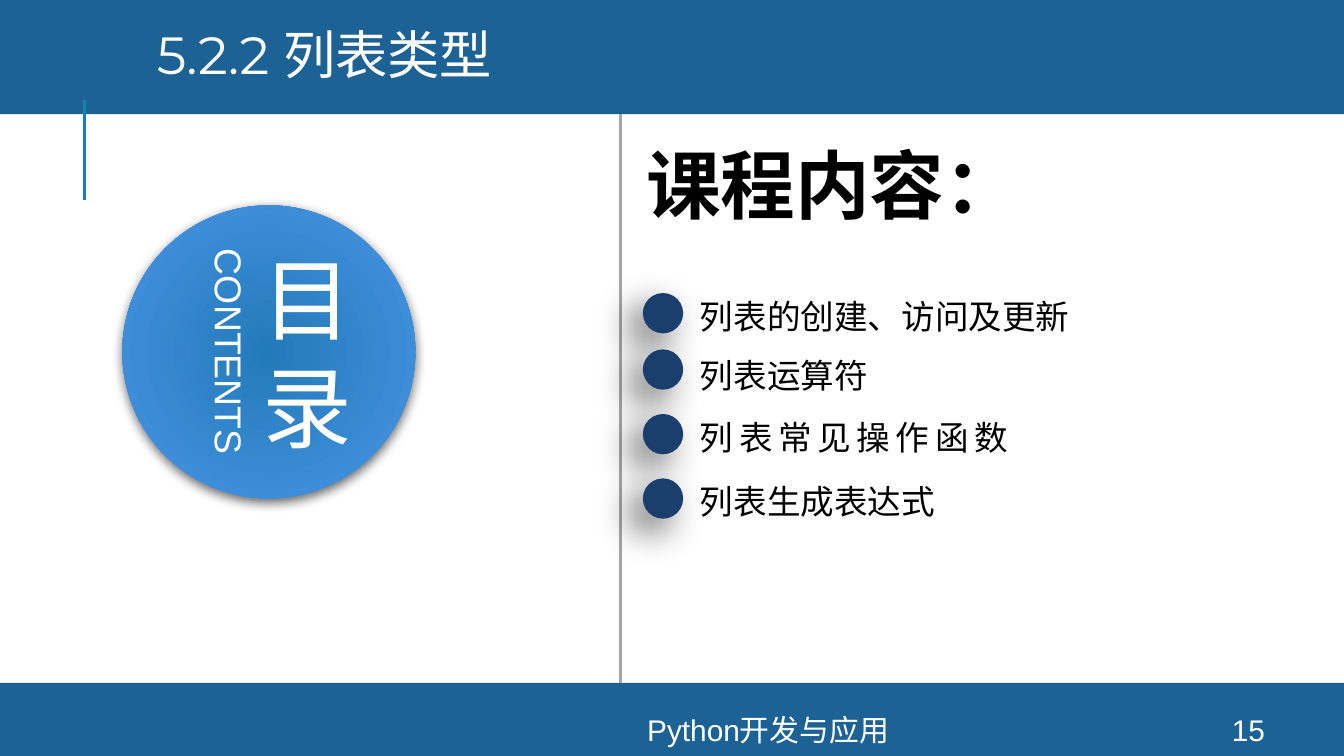
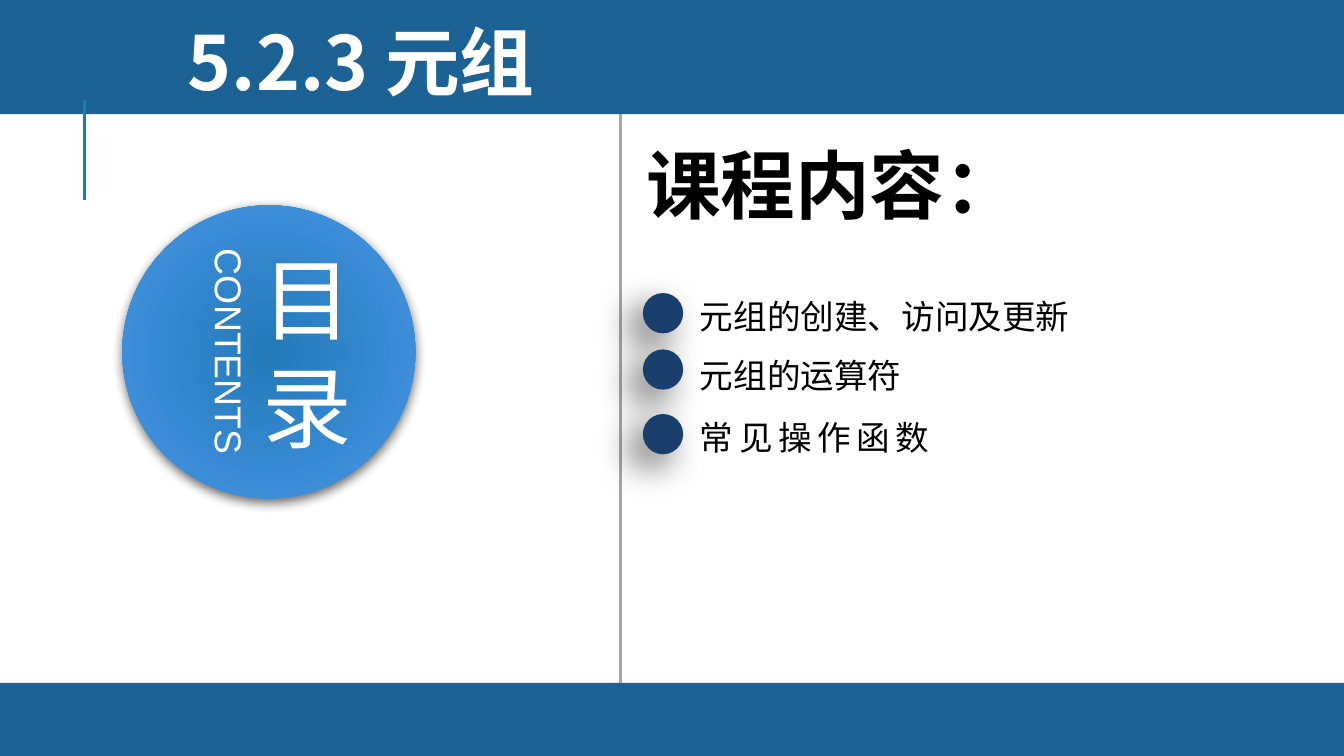
import collections

import lxml.etree
import pptx
import pptx.dml.color
import pptx.enum.shapes
import pptx.enum.text
import pptx.oxml.ns
import pptx.util

Pt = pptx.util.Pt
RGBColor = pptx.dml.color.RGBColor
Shapes = pptx.enum.shapes.MSO_SHAPE
Align = pptx.enum.text.PP_ALIGN
Anchor = pptx.enum.text.MSO_ANCHOR
AutoSize = pptx.enum.text.MSO_AUTO_SIZE
qn = pptx.oxml.ns.qn

BAND_BLUE = RGBColor(0x1D, 0x62, 0x94)
ACCENT_BLUE = RGBColor(0x14, 0x82, 0xAC)
DIVIDER_GREY = RGBColor(0xA6, 0xA6, 0xA6)
DISC_CENTRE = RGBColor(0x23, 0x7A, 0xB8)
DISC_EDGE = RGBColor(0x48, 0x95, 0xE7)
DOT_NAVY = RGBColor(0x1A, 0x3F, 0x6C)
WHITE = RGBColor(0xFF, 0xFF, 0xFF)
BLACK = RGBColor(0x00, 0x00, 0x00)

LATIN = "Arial"
DISPLAY = "Montserrat"
CHINESE = "Noto Sans CJK SC"

Box = collections.namedtuple("Box", "left top width height")
Style = collections.namedtuple("Style", "size font color bold spacing", defaults=(False, 0))
Title = collections.namedtuple("Title", "text style box")
Topic = collections.namedtuple("Topic", "label font spacing", defaults=(CHINESE, 0))

PAGE = Box(0, 0, 720, 405)
HEADER = Box(0, -2.2, 720, 63.4)
FOOTER = Box(0, 365.8, 720, 39.2)
DISC = Box(65.5, 110, 157, 157)
CONTENT = Box(332.6, 61.2, 387.4, 304.6)
TOPIC_ROWS = [(93.6, 95.8), (125.3, 126), (158.4, 160.6), (193, 195.1)]


def place(box, left, top, width, height):
    return Box(box.left + left, box.top + top, width, height)


def points(box):
    return [Pt(length) for length in box]


def add_span(para, text, style):
    span = para.add_run()
    span.text = text
    font = span.font
    font.size = Pt(style.size)
    font.name = style.font
    font.bold = style.bold
    font.color.rgb = style.color
    properties = font._element
    if style.spacing:
        properties.set("spc", str(round(style.spacing * 100)))
    east_asian = lxml.etree.Element(qn("a:ea"), typeface=CHINESE)
    properties.find(qn("a:latin")).addnext(east_asian)


def add_text(page, box, lines, style, align=Align.LEFT, anchor=Anchor.TOP, wrap=True, grow=False, inset=None):
    text_box = page.shapes.add_textbox(*points(box))
    frame = text_box.text_frame
    frame.word_wrap = wrap
    frame.vertical_anchor = anchor
    frame.auto_size = AutoSize.SHAPE_TO_FIT_TEXT if grow else AutoSize.NONE
    if inset is not None:
        frame.margin_left = frame.margin_right = Pt(inset)
        frame.margin_top = frame.margin_bottom = Pt(inset)
    for index, line in enumerate(lines):
        para = frame.add_paragraph() if index else frame.paragraphs[0]
        para.alignment = align
        add_span(para, line, style)
    return text_box


def add_label(page, box, text, style):
    return add_text(page, box, [text], style, wrap=False, grow=True)


def add_solid(page, kind, box, color):
    shape = page.shapes.add_shape(kind, *points(box))
    shape.fill.solid()
    shape.fill.fore_color.rgb = color
    shape.line.fill.background()
    shape.shadow.inherit = False
    return shape


def add_shadow(shape, blur, distance, angle):
    effects = shape._element.spPr.find(qn("a:effectLst"))
    shadow = lxml.etree.SubElement(
        effects, qn("a:outerShdw"), blurRad=str(Pt(blur)), dist=str(Pt(distance)),
        dir=str(angle * 60000), algn="ctr", rotWithShape="0")
    color = lxml.etree.SubElement(shadow, qn("a:srgbClr"), val=str(BLACK))
    lxml.etree.SubElement(color, qn("a:alpha"), val="60000")


def add_vertical(page, left, start, end, color):
    line = page.shapes.add_connector(
        pptx.enum.shapes.MSO_CONNECTOR.STRAIGHT, Pt(left), Pt(start), Pt(left), Pt(end))
    line.line.color.rgb = color
    line.line.width = Pt(1.5)
    lxml.etree.SubElement(line._element.spPr, qn("a:effectLst"))


def fill_radially(shape, centre, edge):
    shape.fill.gradient()
    for stop, color in zip(shape.fill.gradient_stops, (centre, edge)):
        stop.color.rgb = color
    gradient = shape._element.spPr.find(qn("a:gradFill"))
    gradient.remove(gradient.find(qn("a:lin")))
    circle = lxml.etree.SubElement(gradient, qn("a:path"), path="circle")
    lxml.etree.SubElement(
        circle, qn("a:fillToRect"), l="100000", t="100000", r="100000", b="100000")


def draw_frame(page):
    for band in (HEADER, FOOTER):
        add_solid(page, Shapes.RECTANGLE, band, BAND_BLUE)
    add_vertical(page, 45.2, 107.2, 53.5, ACCENT_BLUE)
    add_vertical(page, CONTENT.left, CONTENT.top, FOOTER.top, DIVIDER_GREY)


def draw_disc(page, box):
    disc = add_solid(page, Shapes.OVAL, box, DISC_CENTRE)
    fill_radially(disc, DISC_CENTRE, DISC_EDGE)
    add_shadow(disc, 6, 2, 90)
    add_text(page, place(box, 48.3, 5.7, 101.5, 145.4), ["目", "录"],
             Style(48, LATIN, WHITE, spacing=6), Align.CENTER, Anchor.MIDDLE, inset=0)
    caption = add_text(page, place(box, -18.7, 62.6, 151.9, 31.7), ["CONTENTS"],
                       Style(20, LATIN, WHITE), Align.CENTER, grow=True)
    caption.rotation = 90


def draw_footer(page, box, course, number):
    style = Style(16, LATIN, WHITE)
    for text, left, width in ((course, 187.9, 447.1), (number, 640, 57.6)):
        add_text(page, place(box, left, 16.5, width, 16.6), [text], style,
                 Align.CENTER, Anchor.MIDDLE)


def draw_topics(page, box, topics):
    add_label(page, place(box, 6.5, 9.4, 215.3, 55.4), "课程内容：",
              Style(40, CHINESE, BLACK, True))
    for topic, (label_top, dot_top) in zip(topics, TOPIC_ROWS):
        width = 14.4 + len(topic.label) * (18 + topic.spacing)
        add_label(page, place(box, 35.3, label_top, width, 28.8), topic.label,
                  Style(18, topic.font, BLACK, spacing=topic.spacing))
        dot = add_solid(page, Shapes.OVAL, place(box, 11.8, dot_top, 21.6, 21.6), DOT_NAVY)
        add_shadow(dot, 20, 10, 135)


def draw_title(page, title):
    add_label(page, place(HEADER, *title.box), title.text, title.style)


def build_contents(deck, title, topics, footer=None):
    page = deck.slides.add_slide(deck.slide_layouts[6])
    draw_frame(page)
    draw_disc(page, DISC)
    if footer:
        draw_footer(page, FOOTER, *footer)
    draw_topics(page, CONTENT, topics)
    draw_title(page, title)


def main():
    deck = pptx.Presentation()
    deck.slide_width = Pt(PAGE.width)
    deck.slide_height = Pt(PAGE.height)
    build_contents(
        deck,
        Title("5.2.2 列表类型", Style(28, DISPLAY, WHITE), Box(77, 10.8, 210.2, 41)),
        [Topic("列表的创建、访问及更新"), Topic("列表运算符"),
         Topic("列表常见操作函数", spacing=3), Topic("列表生成表达式", LATIN)],
        ("Python开发与应用", "15"))
    build_contents(
        deck,
        Title("5.2.3 元组", Style(40, CHINESE, WHITE, True), Box(93.6, 7.2, 216, 55.4)),
        [Topic("元组的创建、访问及更新"), Topic("元组的运算符"),
         Topic("常见操作函数", spacing=3)])
    deck.save("out.pptx")


if __name__ == "__main__":
    main()
